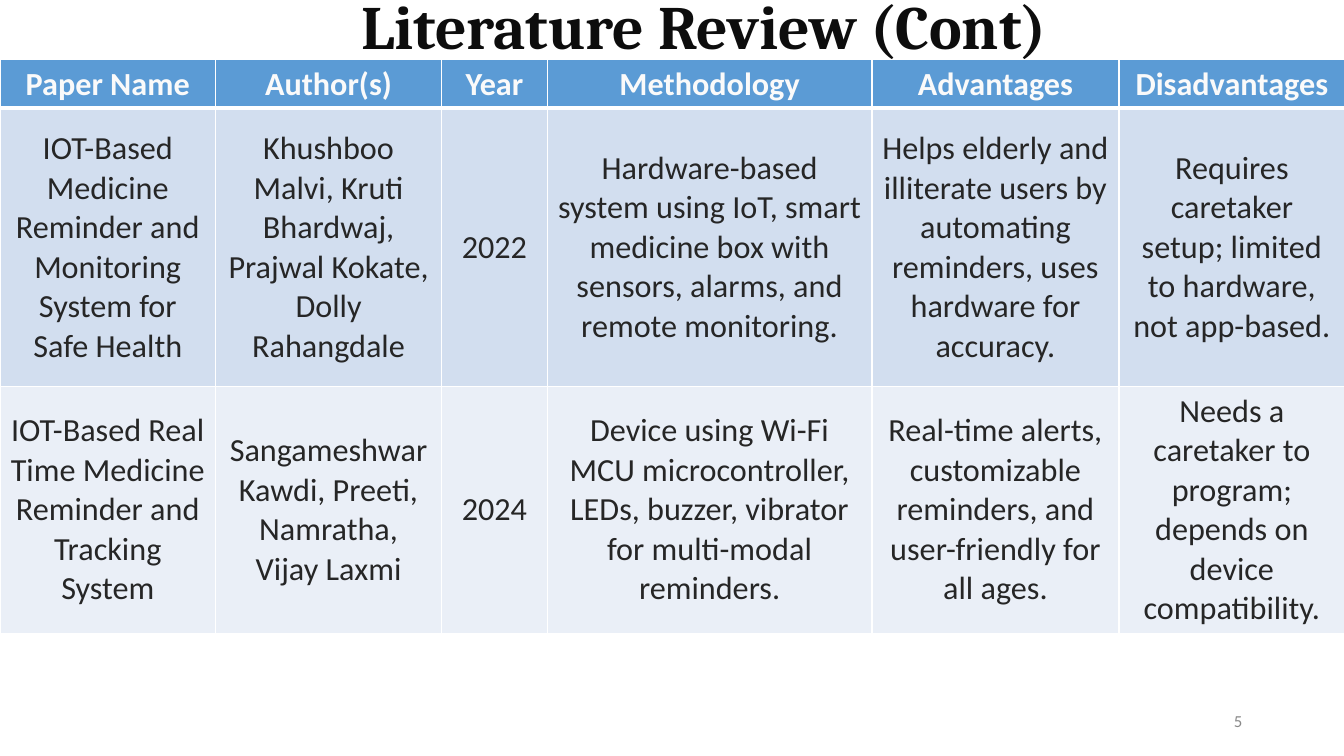
"""Build the literature review slide with its comparison table of papers."""
from lxml.etree import SubElement
from pptx import Presentation
from pptx.dml.color import RGBColor
from pptx.enum.text import MSO_ANCHOR, PP_ALIGN
from pptx.oxml.ns import qn
from pptx.util import Inches, Pt

TITLE = "Literature Review (Cont)"
PAGE_NUMBER = "5"
PAPERS = [
    ("Paper Name", "Author(s)", "Year", "Methodology", "Advantages", "Disadvantages"),
    ("IOT-Based Medicine Reminder and Monitoring System for Safe Health",
     "Khushboo Malvi, Kruti Bhardwaj, Prajwal Kokate, Dolly Rahangdale",
     "2022",
     "Hardware-based system using IoT, smart medicine box with sensors, alarms, and remote monitoring.",
     "Helps elderly and illiterate users by automating reminders, uses hardware for accuracy.",
     "Requires caretaker setup; limited to hardware, not app-based."),
    ("IOT-Based Real Time Medicine Reminder and Tracking System",
     "Sangameshwar Kawdi, Preeti, Namratha, Vijay Laxmi",
     "2024",
     "Device using Wi-Fi MCU microcontroller, LEDs, buzzer, vibrator for multi-modal reminders.",
     "Real-time alerts, customizable reminders, and user-friendly for all ages.",
     "Needs a caretaker to program; depends on device compatibility."),
]
COLUMN_WIDTHS = [2.14, 2.24, 1.05, 3.22, 2.45, 2.24]
ROW_HEIGHTS = [0.48, 2.76, 2.45]
ROW_FILLS = ["5B9BD5", "D2DEEF", "EAEFF7"]
TABLE_TOP = 0.59
SLIDE_WIDTH, SLIDE_HEIGHT = 13.33, 7.5


def color(hex_code):
    return RGBColor.from_string(hex_code)


def style(paragraph, font_name, size, hex_code, align, bold=False):
    paragraph.alignment = align
    font = paragraph.font
    font.name, font.size, font.bold = font_name, Pt(size), bold
    font.color.rgb = color(hex_code)


def add_text(slide, text, left, top, width, height):
    frame = slide.shapes.add_textbox(*map(Inches, (left, top, width, height))).text_frame
    frame.word_wrap = True
    frame.vertical_anchor = MSO_ANCHOR.MIDDLE
    frame.margin_top = frame.margin_bottom = 0
    frame.text = text
    return frame.paragraphs[0]


def set_borders(cell, widths):
    properties = cell._tc.get_or_add_tcPr()
    for index, (side, width) in enumerate(widths.items()):
        line = properties.makeelement(qn(f"a:ln{side}"), {"w": str(Pt(width))})
        fill = SubElement(line, qn("a:solidFill"))
        SubElement(fill, qn("a:srgbClr"), val="FFFFFF")
        properties.insert(index, line)


def add_papers(slide):
    table = slide.shapes.add_table(
        len(PAPERS), len(COLUMN_WIDTHS), 0, Inches(TABLE_TOP),
        Inches(SLIDE_WIDTH), Inches(sum(ROW_HEIGHTS))).table
    for column, width in zip(table.columns, COLUMN_WIDTHS):
        column.width = Inches(width)
    for r, (paper, height, fill) in enumerate(zip(PAPERS, ROW_HEIGHTS, ROW_FILLS)):
        table.rows[r].height = Inches(height)
        header = r == 0
        borders = {"L": 1, "R": 1, "T": 3 if r == 1 else 1, "B": 3 if header else 1}
        for cell, text in zip(table.rows[r].cells, paper):
            cell.text = text
            cell.vertical_anchor = MSO_ANCHOR.MIDDLE
            cell.fill.solid()
            cell.fill.fore_color.rgb = color(fill)
            style(cell.text_frame.paragraphs[0], "Calibri", 23,
                  "FAFAFA" if header else "262626", PP_ALIGN.CENTER, header)
            set_borders(cell, borders)


def main():
    deck = Presentation()
    deck.slide_width, deck.slide_height = Inches(SLIDE_WIDTH), Inches(SLIDE_HEIGHT)
    slide = deck.slides.add_slide(deck.slide_layouts[6])
    title = add_text(slide, TITLE, 2.83, 0, 8.31, TABLE_TOP)
    style(title, "Cambria", 44, "0D0D0D", PP_ALIGN.CENTER, True)
    title.line_spacing = 0.9
    page_number = add_text(slide, PAGE_NUMBER, 9.42, 6.95, 3, 0.4)
    style(page_number, "Calibri", 12, "898989", PP_ALIGN.RIGHT)
    add_papers(slide)
    deck.save("out.pptx")


if __name__ == "__main__":
    main()
